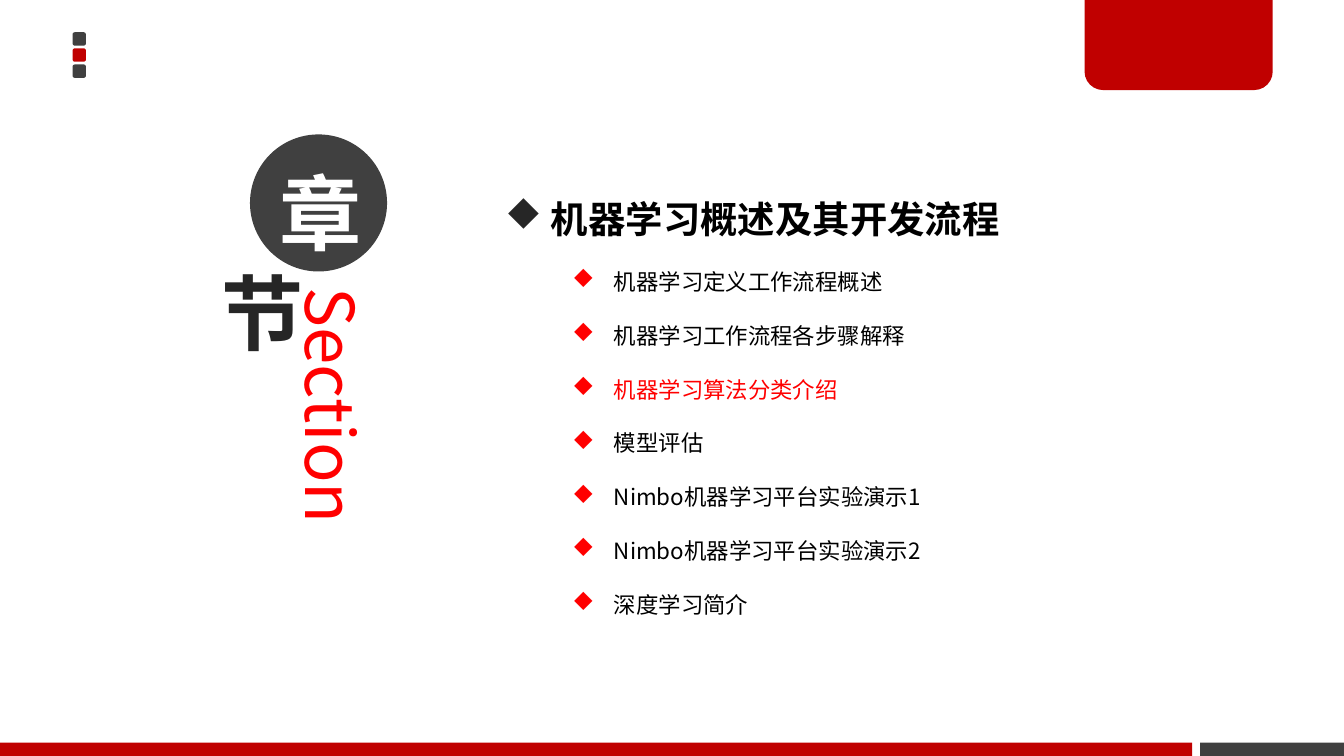
from lxml import etree
from pptx import Presentation
from pptx.dml.color import RGBColor
from pptx.enum import shapes, text
from pptx.oxml import ns
from pptx.util import Inches, Pt

HEADING = " 机器学习概述及其开发流程"
TOPICS = [
    "机器学习定义工作流程概述",
    "机器学习工作流程各步骤解释",
    "机器学习算法分类介绍",
    "模型评估",
    "Nimbo机器学习平台实验演示1",
    "Nimbo机器学习平台实验演示2",
    "深度学习简介",
]
CURRENT_TOPIC = 2

THEME = {
    "font": "Noto Sans CJK SC",
    "bullet_font": "Wingdings",
    "brand": "C00000",
    "dark": "404040",
    "ink": "262626",
    "accent": "FF0000",
    "black": "000000",
    "white": "FFFFFF",
    "badge": 44,
    "section": 36,
    "heading": 20,
    "topic": 12,
}

SLIDE_WIDTH = 10
SLIDE_HEIGHT = SLIDE_WIDTH * 9 / 16
BAR_HEIGHT, BAR_SPLIT, BAR_GAP = 0.1, 8.87, 0.06
DOT_SIZE, DOT_STEP = 0.1, 0.12
KIND = shapes.MSO_SHAPE


def add_block(page, kind, place, color=None, adjustments=()):
    block = page.shapes.add_shape(kind, *map(Inches, place))
    block.shadow.inherit = False
    block.line.fill.background()
    if color:
        block.fill.solid()
        block.fill.fore_color.rgb = RGBColor.from_string(THEME[color])
    else:
        block.fill.background()
    for index, value in enumerate(adjustments):
        block.adjustments[index] = value
    return block


def set_frame(box, margins=(0.07, 0.04, 0.07, 0.04), anchor=text.MSO_ANCHOR.TOP):
    frame = box.text_frame
    sides = ("left", "top", "right", "bottom")
    formats = {f"margin_{side}": Inches(size) for side, size in zip(sides, margins)}
    formats.update(word_wrap=True, vertical_anchor=anchor)
    for name, value in formats.items():
        setattr(frame, name, value)
    return frame


def write(para, words, size, color, bold=False):
    span = para.add_run()
    span.text = words
    formats = {"size": Pt(THEME[size]), "bold": bold, "name": THEME["font"]}
    for name, value in formats.items():
        setattr(span.font, name, value)
    span.font.color.rgb = RGBColor.from_string(THEME[color])
    east_asian = etree.SubElement(span.font._element, ns.qn("a:ea"))
    east_asian.set("typeface", THEME["font"])


def set_bullet(para, margin, hanging, color):
    properties = para._p.get_or_add_pPr()
    properties.set("marL", str(Inches(margin)))
    properties.set("indent", str(-Inches(hanging)))
    bullet_color = etree.SubElement(properties, ns.qn("a:buClr"))
    etree.SubElement(bullet_color, ns.qn("a:srgbClr")).set("val", THEME[color])
    bullet_font = etree.SubElement(properties, ns.qn("a:buFont"))
    bullet_font.set("typeface", THEME["bullet_font"])
    bullet_font.set("charset", "2")
    etree.SubElement(properties, ns.qn("a:buChar")).set("char", "u")


def add_decoration(page):
    for index, color in enumerate(("dark", "brand", "dark")):
        place = (0.54, 0.24 + index * DOT_STEP, DOT_SIZE, DOT_SIZE)
        add_block(page, KIND.ROUNDED_RECTANGLE, place, color, (0.17,))
    bar_top = SLIDE_HEIGHT - BAR_HEIGHT
    right_bar = BAR_SPLIT + BAR_GAP
    for left, right, color in ((right_bar, SLIDE_WIDTH, "dark"), (0, BAR_SPLIT, "brand")):
        add_block(page, KIND.RECTANGLE, (left, bar_top, right - left, BAR_HEIGHT), color)
    add_block(page, KIND.ROUND_2_SAME_RECTANGLE, (8.07, -0.02, 1.4, 0.69), "brand", (0, 0.2))


def add_badge(page, words, place, fill, color, bottom_margin, spacing=None):
    badge = add_block(page, KIND.OVAL, place, fill)
    frame = set_frame(badge, (0.07, 0.04, 0.07, bottom_margin), text.MSO_ANCHOR.MIDDLE)
    para = frame.paragraphs[0]
    para.alignment = text.PP_ALIGN.CENTER
    para.line_spacing = spacing
    write(para, words, "badge", color, bold=True)


def add_section_title(page):
    box = page.shapes.add_textbox(*map(Inches, (2.14, 2.1, 0.7, 2.89)))
    frame = set_frame(box)
    frame._txBody.bodyPr.set("vert", "vert")
    write(frame.paragraphs[0], "Section", "section", "accent")
    add_badge(page, "章", (1.86, 1, 1.02, 1.02), "dark", "white", 0.15, Pt(70))
    add_badge(page, "节", (1.46, 1.92, 0.8, 0.8), None, "ink", 0.04)


def add_outline(page):
    box = page.shapes.add_textbox(*map(Inches, (3.66, 1.08, 5.59, 3.54)))
    frame = set_frame(box, (0.1, 0.05, 0.1, 0.05))
    heading = frame.paragraphs[0]
    heading.line_spacing = 2.0
    set_bullet(heading, 0.19, 0.19, "ink")
    write(heading, HEADING, "heading", "black", bold=True)
    for index, topic in enumerate(TOPICS):
        para = frame.add_paragraph()
        para.level = 1
        para.line_spacing = 2.0
        set_bullet(para, 0.81, 0.31, "accent")
        write(para, topic, "topic", "accent" if index == CURRENT_TOPIC else "black")


def main():
    deck = Presentation()
    deck.slide_width, deck.slide_height = Inches(SLIDE_WIDTH), Inches(SLIDE_HEIGHT)
    page = deck.slides.add_slide(deck.slide_layouts[6])
    add_decoration(page)
    add_section_title(page)
    add_outline(page)
    deck.save("out.pptx")


if __name__ == "__main__":
    main()
